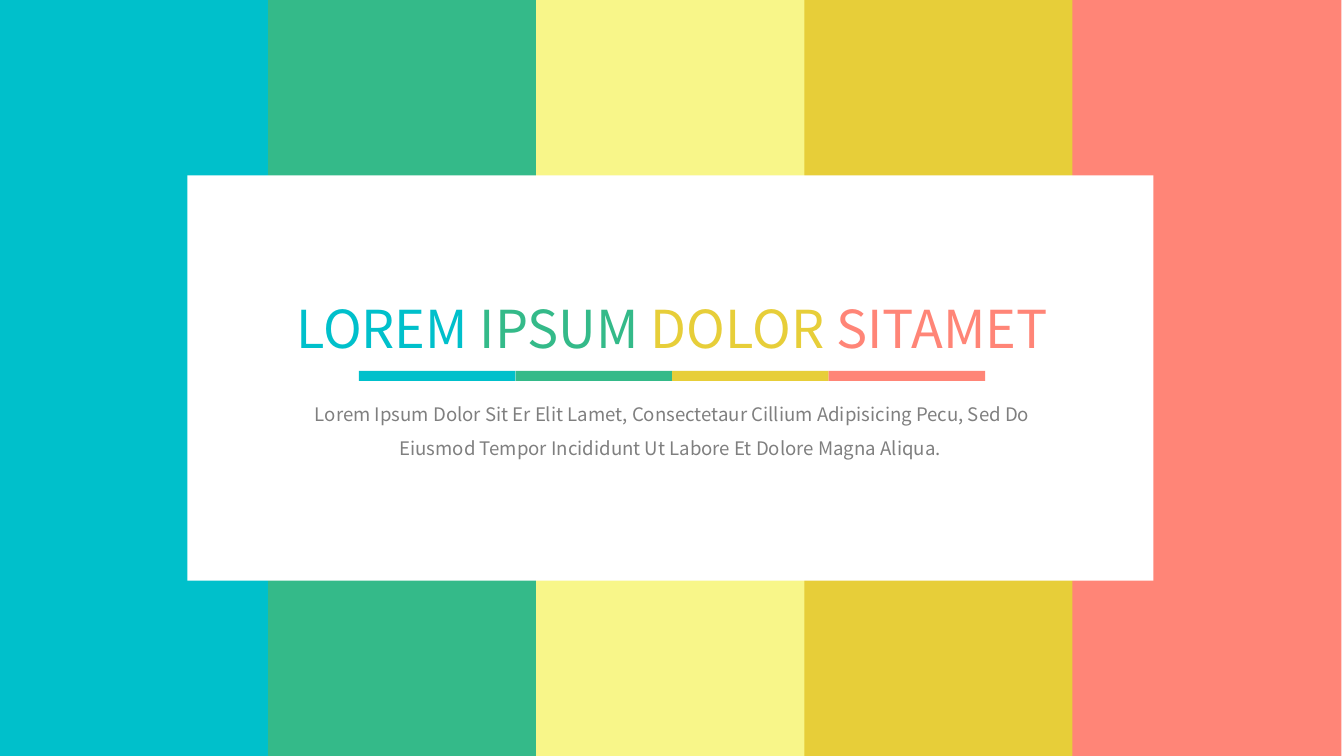
from pptx import Presentation
from pptx import util as u
from pptx.dml.color import RGBColor
from pptx.enum import shapes, text

TEAL = RGBColor(0x00, 0xC0, 0xCB)
GREEN = RGBColor(0x34, 0xBA, 0x89)
LEMON = RGBColor(0xF8, 0xF6, 0x89)
GOLD = RGBColor(0xE7, 0xCE, 0x39)
CORAL = RGBColor(0xFF, 0x85, 0x77)
WHITE = RGBColor(0xFF, 0xFF, 0xFF)
GRAY = RGBColor(0x7F, 0x7F, 0x7F)


class Deck:
    """Draws on a grid of 100 columns by 100 rows, in one font."""

    font = "Noto Sans CJK SC"

    def __init__(self):
        self.prs = Presentation()
        self.prs.slide_width = u.Inches(13.33)
        self.prs.slide_height = u.Inches(7.5)
        self.slide = self.prs.slides.add_slide(self.prs.slide_layouts[6])
        self.layer = self.slide.shapes

    def cells(self, col, row, cols, rows):
        wide = self.prs.slide_width / 100
        high = self.prs.slide_height / 100
        return [round(v) for v in (col * wide, row * high, cols * wide, rows * high)]

    def group(self):
        self.layer = self.slide.shapes.add_group_shape().shapes

    def block(self, color, *area):
        rect = self.layer.add_shape(shapes.MSO_SHAPE.RECTANGLE, *self.cells(*area))
        rect.shadow.inherit = False
        rect.fill.solid()
        rect.fill.fore_color.rgb = color
        rect.line.fill.background()

    def label(self, parts, size, *area, space=None):
        frame = self.layer.add_textbox(*self.cells(*area)).text_frame
        frame.word_wrap = True
        frame.auto_size = text.MSO_AUTO_SIZE.SHAPE_TO_FIT_TEXT
        para = frame.paragraphs[0]
        para.alignment = text.PP_ALIGN.CENTER
        para.line_spacing = space
        para.font.size = u.Pt(size)
        para.font.name = self.font
        for words, color in parts:
            run = para.add_run()
            run.text = words
            run.font.color.rgb = color


def main():
    deck = Deck()
    for i, color in enumerate((TEAL, GREEN, LEMON, GOLD, CORAL)):
        deck.block(color, i * 19.95, 0, 20, 100)
    deck.block(WHITE, 13.95, 23.2, 71.87, 53.6)

    deck.group()
    title = (("LOREM ", TEAL), ("IPSUM ", GREEN), ("DOLOR ", GOLD), ("SITAMET", CORAL))
    for i, (_, color) in enumerate(title):
        deck.block(color, 26.71 + i * 11.65, 49.07, 11.65, 1.33)
    deck.label(title, 37.3, 17.78, 38.53, 64.44, 9.73)
    body = (
        "Lorem Ipsum Dolor Sit Er Elit Lamet, Consectetaur Cillium Adipisicing Pecu, "
        "Sed Do Eiusmod Tempor Incididunt Ut Labore Et Dolore Magna Aliqua. "
    )
    deck.label([(body, GRAY)], 13.3, 22.21, 51.2, 55.66, 9.87, space=1.5)
    deck.prs.save("out.pptx")


if __name__ == "__main__":
    main()
